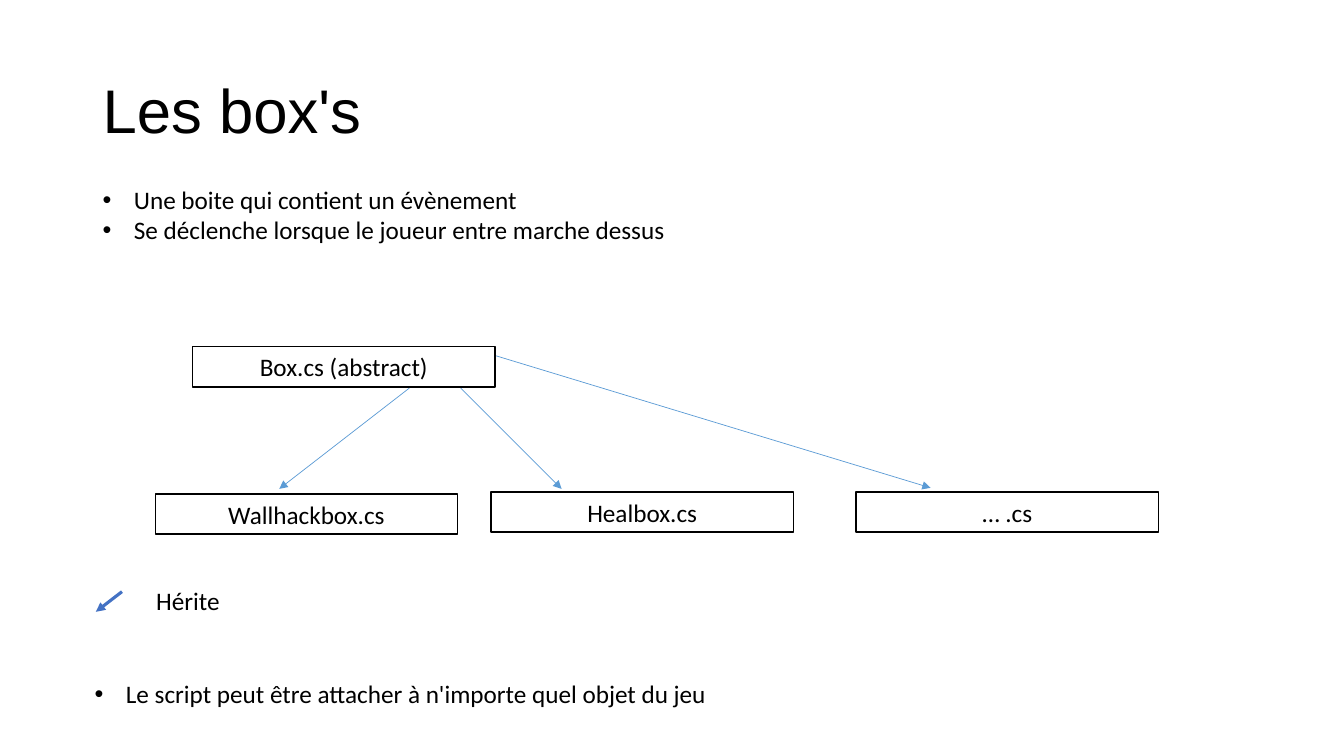
"""Build the slide on boxes and the scripts that inherit from them."""
from dataclasses import dataclass

from lxml import etree
from pptx import Presentation
from pptx.dml.color import RGBColor
from pptx.enum.shapes import MSO_CONNECTOR, MSO_SHAPE
from pptx.enum.text import MSO_ANCHOR, PP_ALIGN
from pptx.oxml.ns import qn
from pptx.slide import Slide
from pptx.text.text import TextFrame
from pptx.util import Inches, Pt

RECT = MSO_SHAPE.RECTANGLE
LINE = MSO_CONNECTOR.STRAIGHT
MIDDLE = MSO_ANCHOR.MIDDLE
LEFT, CENTER = PP_ALIGN.LEFT, PP_ALIGN.CENTER
HUES = {"ink": "000000", "paper": "FFFFFF", "link": "5B9BD5", "key": "4472C4"}
WIDTH, HEIGHT = 3, 0.4
INDENT = 0.31


@dataclass
class Script:
    name: str
    left: float
    top: float


@dataclass
class Arrow:
    start: tuple[float, float]
    end: tuple[float, float]
    hue: str = "link"
    weight: float = 0.5


@dataclass
class Label:
    lines: list[str]
    area: tuple[float, float, float, float]
    size: int = 18
    font: str = "Calibri"
    align: PP_ALIGN = LEFT
    bullet: bool = False
    anchor: MSO_ANCHOR = MSO_ANCHOR.TOP
    pitch: float = 1.0


SCRIPTS = [
    Script("Box.cs (abstract)", 1.91, 3.44),
    Script("Wallhackbox.cs", 1.54, 4.9),
    Script("Healbox.cs", 4.87, 4.88),
    Script("… .cs", 8.49, 4.88),
]
ARROWS = [
    Arrow((4.06, 3.85), (2.77, 4.85)),
    Arrow((4.57, 3.85), (5.57, 4.85)),
    Arrow((4.92, 3.53), (9.23, 4.84)),
    Arrow((1.21, 5.87), (0.95, 6.07), "key", 2.25),
]
LABELS = [
    Label(["Les box's"], (0.92, 0.4, 11.5, 1.45), 44, "Arial",
          anchor=MIDDLE, pitch=0.9),
    Label(["Une boite qui contient un évènement",
           "Se déclenche lorsque le joueur entre marche dessus"],
          (0.92, 1.78, 11.93, 0.71), bullet=True),
    Label(["Hérite"], (0.66, 5.76, 2.41, HEIGHT), align=CENTER),
    Label(["Le script peut être attacher à n'importe quel objet du jeu"],
          (0.84, 6.68, 11.25, HEIGHT), bullet=True),
]


def color(hue: str) -> RGBColor:
    return RGBColor.from_string(HUES[hue])


def write(frame: TextFrame, label: Label) -> None:
    frame.word_wrap = True
    frame.vertical_anchor = label.anchor
    frame.text = "\n".join(label.lines)
    for para in frame.paragraphs:
        para.alignment = label.align
        para.line_spacing = label.pitch
        if label.bullet:
            props = para._p.get_or_add_pPr()
            props.set("marL", str(Inches(INDENT)))
            props.set("indent", str(-Inches(INDENT)))
            etree.SubElement(props, qn("a:buFont"), typeface="Arial")
            etree.SubElement(props, qn("a:buChar"), char="•")
        for run in para.runs:
            run.font.size = Pt(label.size)
            run.font.name = label.font
            run.font.color.rgb = color("ink")


def draw_label(slide: Slide, label: Label) -> None:
    box = slide.shapes.add_textbox(*map(Inches, label.area))
    write(box.text_frame, label)


def draw_script(slide: Slide, script: Script) -> None:
    area = (script.left, script.top, WIDTH, HEIGHT)
    box = slide.shapes.add_shape(RECT, *map(Inches, area))
    box.shadow.inherit = False
    box.fill.solid()
    box.fill.fore_color.rgb = color("paper")
    box.line.color.rgb = color("ink")
    box.line.width = Pt(1)
    write(box.text_frame, Label([script.name], area, align=CENTER, anchor=MIDDLE))


def draw_arrow(slide: Slide, arrow: Arrow) -> None:
    ends = map(Inches, arrow.start + arrow.end)
    link = slide.shapes.add_connector(LINE, *ends)
    link.line.color.rgb = color(arrow.hue)
    link.line.width = Pt(arrow.weight)
    etree.SubElement(link.line._get_or_add_ln(), qn("a:tailEnd"), type="triangle")
    etree.SubElement(link._element.spPr, qn("a:effectLst"))


def main() -> None:
    deck = Presentation()
    deck.slide_width, deck.slide_height = Inches(13.33), Inches(7.5)
    slide = deck.slides.add_slide(deck.slide_layouts[6])
    for script in SCRIPTS:
        draw_script(slide, script)
    for arrow in ARROWS:
        draw_arrow(slide, arrow)
    for label in LABELS:
        draw_label(slide, label)
    deck.save("out.pptx")


if __name__ == "__main__":
    main()
